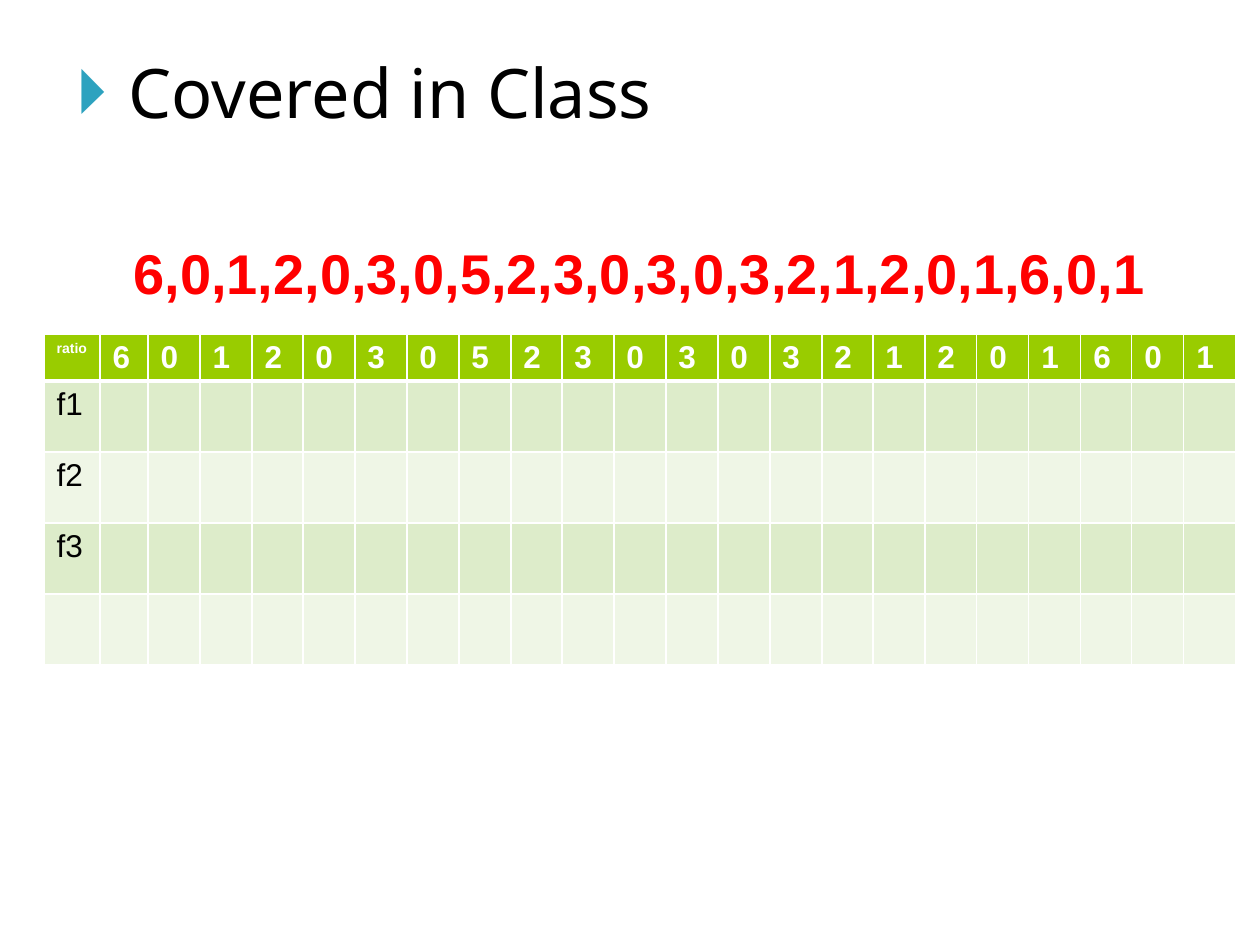
from lxml.etree import SubElement
from pptx import Presentation
from pptx.dml.color import RGBColor
from pptx.enum.text import MSO_ANCHOR as Anchor, MSO_AUTO_SIZE as AutoSize, PP_ALIGN as Align
from pptx.oxml.ns import qn
from pptx.util import Emu, Pt

PX = 914400 / 126
RED = RGBColor(0xFF, 0x00, 0x00)
BLACK = RGBColor(0x00, 0x00, 0x00)
WHITE = RGBColor(0xFF, 0xFF, 0xFF)
GREEN = RGBColor(0x99, 0xCC, 0x00)
BANDS = [RGBColor(0xEF, 0xF6, 0xE6), RGBColor(0xDD, 0xEC, 0xCA)]
TEAL = RGBColor(0x2D, 0xA2, 0xBF)

REFERENCES = "6,0,1,2,0,3,0,5,2,3,0,3,0,3,2,1,2,0,1,6,0,1"


def px(*lengths):
    """Turn pixel lengths into EMU."""
    return [Emu(round(length * PX)) for length in lengths]


def write(frame, text, size=18, color=BLACK, font="Arial", bold=False, align=Align.LEFT):
    line = frame.paragraphs[0]
    line.alignment = align
    line.space_before = Pt(0)
    run = line.add_run()
    run.text = text
    run.font.name = font
    run.font.size = Pt(size)
    run.font.bold = bold
    run.font.color.rgb = color


prs = Presentation()
prs.slide_width, prs.slide_height = px(1260, 945)
slide = prs.slides.add_slide(prs.slide_layouts[1])

# Reference string
reference = slide.shapes.title
reference.left, reference.top, reference.width, reference.height = px(73, 233, 1134, 79)
reference.text_frame.auto_size = AutoSize.NONE
reference.text_frame.vertical_anchor = Anchor.BOTTOM
write(reference.text_frame, REFERENCES, size=32, color=RED, bold=True, align=Align.CENTER)

# Bulleted heading
heading = slide.placeholders[1]
heading.left, heading.top, heading.width, heading.height = px(44, 43, 803, 96)
heading.text_frame.auto_size = AutoSize.SHAPE_TO_FIT_TEXT
heading.text_frame.vertical_anchor = Anchor.MIDDLE
bullet = heading.text_frame.paragraphs[0]._p.get_or_add_pPr()
margin, hanging = px(72, -50)
bullet.set("marL", str(margin))
bullet.set("indent", str(hanging))
SubElement(SubElement(bullet, qn("a:buClr")), qn("a:srgbClr"), val=str(TEAL))
SubElement(bullet, qn("a:buChar"), char="🞂")
write(heading.text_frame, "Covered in Class", size=39, font="Noto Sans")

# Frame table: one column per reference, one row per frame
pages = REFERENCES.split(",")
rows = [["ratio"] + pages] + [[frame] + [""] * len(pages) for frame in ("f1", "f2", "f3", "")]
edges = [0, 56] + [104 + round(1088 * i / 21) for i in range(len(pages))]
table = slide.shapes.add_table(len(rows), len(rows[0]), *px(44, 334, edges[-1], 330)).table
for column, left, right in zip(table.columns, edges, edges[1:]):
    column.width, = px(right - left)

for r, row in enumerate(rows):
    header = r == 0
    table.rows[r].height, = px(46 if header else 71)
    for c, text in enumerate(row):
        cell = table.cell(r, c)
        if header:
            cell.margin_bottom, = px(3)
        borders = cell._tc.get_or_add_tcPr()
        for side in "LRTB":
            thick = (r, side) in ((0, "B"), (1, "T"))
            line = SubElement(borders, qn(f"a:ln{side}"), w=str(Pt(3 if thick else 1)))
            SubElement(SubElement(line, qn("a:solidFill")), qn("a:srgbClr"), val=str(WHITE))
        cell.fill.solid()
        cell.fill.fore_color.rgb = GREEN if header else BANDS[r % 2]
        if text:
            write(cell.text_frame, text, size=8 if text == "ratio" else 18,
                  color=WHITE if header else BLACK, bold=header)

prs.save("out.pptx")
